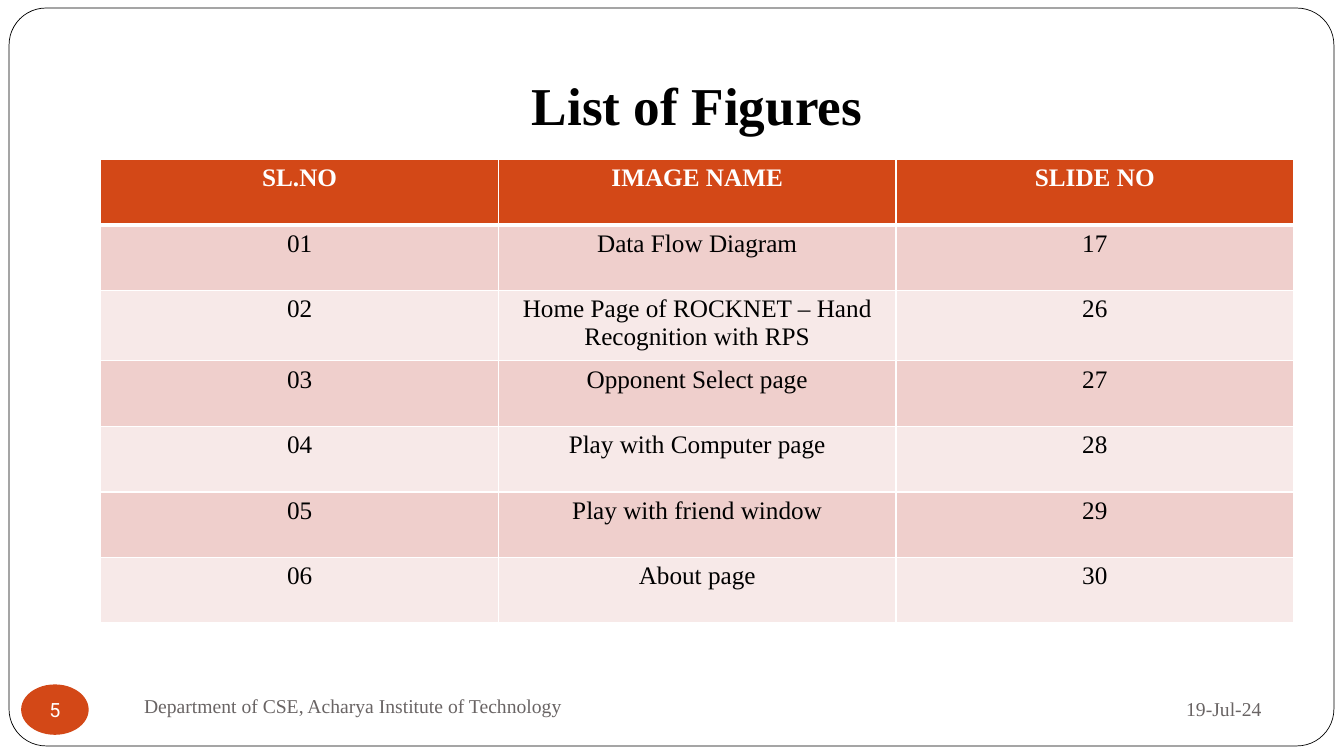
from dataclasses import dataclass

from lxml.etree import SubElement
from pptx import Presentation
from pptx.dml.color import RGBColor
from pptx.enum.shapes import MSO_SHAPE
from pptx.enum.text import MSO_ANCHOR, PP_ALIGN
from pptx.oxml.ns import qn
from pptx.util import Inches, Pt


@dataclass(frozen=True)
class Theme:
    """Colours, fonts and type sizes of the slide."""
    white: str = "FFFFFF"
    black: str = "000000"
    gray: str = "696464"
    rust: str = "D34817"
    bands: tuple = ("EFCFCC", "F7E9E8")
    serif: str = "Times New Roman"
    sans: str = "Roboto"
    title: int = 38
    body: int = 18
    small: int = 14


class Deck:
    """Draws styled elements on the current slide."""

    def __init__(self, theme):
        """Open a blank widescreen slide."""
        self.theme = theme
        self.file = Presentation()
        self.file.slide_width, self.file.slide_height = Inches(13.33), Inches(7.5)
        self.slide = self.file.slides.add_slide(self.file.slide_layouts[6])

    def text(self, frame, words, size, color, align=PP_ALIGN.CENTER, bold=False, name=None):
        """Put one formatted paragraph in a text frame."""
        para = frame.paragraphs[0]
        para.text, para.alignment = words, align
        look = {"name": name or self.theme.serif, "size": Pt(size), "bold": bold}
        for key, value in look.items():
            setattr(para.font, key, value)
        para.font.color.rgb = RGBColor.from_string(color)

    def label(self, words, box, size, color, align, anchor=MSO_ANCHOR.MIDDLE, bold=False, foot=0.05):
        """Add a line of text in a box."""
        frame = self.slide.shapes.add_textbox(*map(Inches, box)).text_frame
        look = {"word_wrap": True, "vertical_anchor": anchor, "margin_bottom": Inches(foot)}
        for key, value in look.items():
            setattr(frame, key, value)
        self.text(frame, words, size, color, align, bold)

    def shape(self, kind, box, fill, line=None):
        """Add a flat shape with an optional thin outline."""
        item = self.slide.shapes.add_shape(kind, *map(Inches, box))
        item.shadow.inherit = False
        item.fill.solid()
        item.fill.fore_color.rgb = RGBColor.from_string(fill)
        if line:
            item.line.color.rgb = RGBColor.from_string(line)
            item.line.width = Pt(0.5)
        else:
            item.line.fill.background()
        return item

    def badge(self, words, box):
        """Add the round slide number."""
        frame = self.shape(MSO_SHAPE.OVAL, box, self.theme.rust).text_frame
        look = {"word_wrap": False, "vertical_anchor": MSO_ANCHOR.MIDDLE}
        look |= {f"margin_{side}": 0 for side in ("left", "top", "right", "bottom")}
        for key, value in look.items():
            setattr(frame, key, value)
        self.text(frame, words, self.theme.small, self.theme.white, name=self.theme.sans)

    def border(self, cell, foot):
        """Draw white cell edges with the given bottom width."""
        props = cell._tc.get_or_add_tcPr()
        for side, width in {"L": 1, "R": 1, "T": 1, "B": foot}.items():
            edge = SubElement(props, qn(f"a:ln{side}"), w=str(Pt(width)))
            fill = SubElement(edge, qn("a:solidFill"))
            SubElement(fill, qn("a:srgbClr"), val=self.theme.white)

    def table(self, rows, left, top, width, step):
        """Add a banded table with a header row."""
        box = map(Inches, (left, top, width, step * len(rows)))
        grid = self.slide.shapes.add_table(len(rows), len(rows[0]), *box).table
        for i, row in enumerate(rows):
            head = i == 0
            fill = self.theme.rust if head else self.theme.bands[(i - 1) % 2]
            color = self.theme.white if head else self.theme.black
            for j, words in enumerate(row):
                cell = grid.cell(i, j)
                self.border(cell, 3 if head else 1)
                cell.fill.solid()
                cell.fill.fore_color.rgb = RGBColor.from_string(fill)
                self.text(cell.text_frame, words, self.theme.body, color, bold=head)


def main():
    """Build and save the list of figures."""
    theme = Theme()
    deck = Deck(theme)
    frame = deck.shape(MSO_SHAPE.ROUNDED_RECTANGLE, (0.09, 0.08, 13.14, 7.32), theme.white, theme.black)
    frame.adjustments[0] = 0.05
    deck.label("List of Figures", (0.88, 0.2, 12.07, 1.25), theme.title, theme.black,
               PP_ALIGN.CENTER, MSO_ANCHOR.BOTTOM, True, 0.1)
    deck.label("19-Jul-24", (9, 6.77, 3.61, 0.52), theme.small, theme.gray, PP_ALIGN.RIGHT)
    deck.label("Department of CSE, Acharya Institute of Technology", (1.33, 6.75, 5.78, 0.5),
               theme.small, theme.gray, PP_ALIGN.LEFT)
    deck.badge("5", (0.21, 6.79, 0.67, 0.5))
    rows = [
        ("SL.NO", "IMAGE NAME", "SLIDE NO"),
        ("01", "Data Flow Diagram", "17"),
        ("02", "Home Page of ROCKNET – Hand Recognition with RPS", "26"),
        ("03", "Opponent Select page", "27"),
        ("04", "Play with Computer page", "28"),
        ("05", "Play with friend window", "29"),
        ("06", "About page", "30"),
    ]
    deck.table(rows, 1, 1.58, 11.83, 0.65)
    deck.file.save("out.pptx")


if __name__ == "__main__":
    main()
